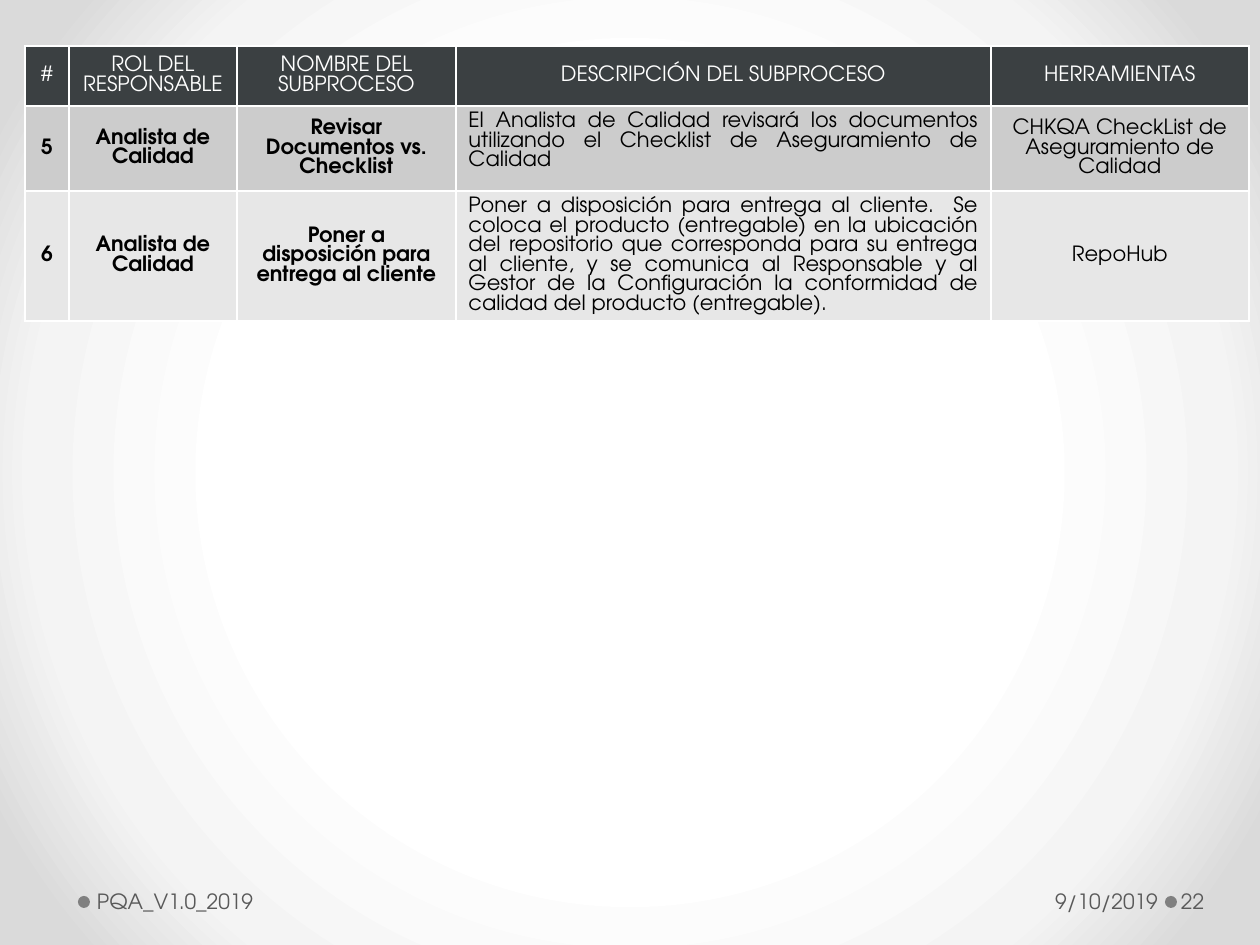
from lxml.etree import SubElement
from pptx import Presentation
from pptx.dml.color import RGBColor
from pptx.enum.shapes import MSO_SHAPE as Shape
from pptx.enum.text import MSO_ANCHOR as Anchor, PP_ALIGN as Align
from pptx.oxml import parse_xml
from pptx.oxml.ns import nsdecls, qn
from pptx.util import Emu, Pt

PX = 914400 / 126
THEME = {
    "font": "TeX Gyre Adventor",
    "size": 12,
    "white": "FFFFFF",
    "black": "000000",
    "header": "3B4042",
    "bands": ("CCCCCC", "E7E7E7"),
    "footer": "595959",
    "dot": "808080",
    "backdrop": ((50, "FFFFFF"), (76, "F4F4F4"), (92, "DADADA")),
    "border": 1,
}
COLUMNS = (44, 168, 219, 535, 258)
ROWS = (60, 85, 130)
HEADINGS = ("#", "ROL DEL RESPONSABLE", "NOMBRE DEL SUBPROCESO",
            "DESCRIPCIÓN DEL SUBPROCESO", "HERRAMIENTAS")
SUBPROCESSES = (
    ("5", "Analista de Calidad", "Revisar Documentos vs. Checklist",
     "El Analista de Calidad revisará los documentos utilizando el Checklist "
     "de Aseguramiento de Calidad",
     "CHKQA CheckList de Aseguramiento de Calidad"),
    ("6", "Analista de Calidad", "Poner a disposición para entrega al cliente",
     "Poner a disposición para entrega al cliente.  Se coloca el producto "
     "(entregable) en la ubicación del repositorio que corresponda para su "
     "entrega al cliente, y se comunica al Responsable y al Gestor de la "
     "Configuración la conformidad de calidad del producto (entregable).",
     "RepoHub"),
)
BOLD_COLUMNS = (0, 1, 2)
DESCRIPTION = 3


def px(length):
    return Emu(round(length * PX))


def color(name):
    return RGBColor.from_string(name)


def set_all(target, values):
    for name, value in values.items():
        setattr(target, name, value)


def write(frame, text, ink, align, bold=False):
    para = frame.paragraphs[0]
    para.alignment = align
    span = para.add_run()
    span.text = text
    set_all(span.font, {"name": THEME["font"], "size": Pt(THEME["size"]),
                        "bold": bold})
    span.font.color.rgb = color(ink)


def paint_backdrop(page):
    fill = page.background.fill
    fill.solid()
    stops = "".join(
        f'<a:gs pos="{at * 1000}"><a:srgbClr val="{shade}"/></a:gs>'
        for at, shade in THEME["backdrop"])
    gradient = parse_xml(
        f'<a:gradFill {nsdecls("a")} rotWithShape="1"><a:gsLst>{stops}</a:gsLst>'
        '<a:path path="circle"><a:fillToRect l="50000" t="50000" r="50000" '
        'b="50000"/></a:path></a:gradFill>')
    solid = next(page.element.iter(qn("a:solidFill")))
    solid.getparent().replace(solid, gradient)


def outline(cell):
    """Draw the four cell borders, which must precede the fill in the XML."""
    props = cell._tc.get_or_add_tcPr()
    for index, side in enumerate(("lnL", "lnR", "lnT", "lnB")):
        line = SubElement(props, qn(f"a:{side}"), w=str(Pt(THEME["border"])))
        solid = SubElement(line, qn("a:solidFill"))
        SubElement(solid, qn("a:srgbClr"), val=THEME["white"])
        props.insert(index, line)


def add_subprocess_table(page, left, top):
    records = (HEADINGS, *SUBPROCESSES)
    shape = page.shapes.add_table(len(ROWS), len(COLUMNS), px(left), px(top),
                                  px(sum(COLUMNS)), px(sum(ROWS)))
    table = shape.table
    set_all(table, {"first_row": False, "horz_banding": False})
    for column, width in zip(table.columns, COLUMNS):
        column.width = px(width)
    for row, height in zip(table.rows, ROWS):
        row.height = px(height)
    for r, record in enumerate(records):
        is_header = r == 0
        shade = THEME["header"] if is_header else THEME["bands"][r - 1]
        ink = THEME["white"] if is_header else THEME["black"]
        for c, text in enumerate(record):
            cell = table.cell(r, c)
            cell.fill.solid()
            cell.fill.fore_color.rgb = color(shade)
            outline(cell)
            justified = c == DESCRIPTION and not is_header
            at_top = justified and r == 1
            cell.vertical_anchor = Anchor.TOP if at_top else Anchor.MIDDLE
            write(cell.text_frame, text, ink,
                  Align.JUSTIFY if justified else Align.CENTER,
                  bold=c in BOLD_COLUMNS and not is_header)


def add_footer(page, left, top, height):
    dot = 12
    for x in (0, 1087):
        bullet = page.shapes.add_shape(Shape.OVAL, px(left + x), px(top + 20),
                                       px(dot), px(dot))
        bullet.shadow.inherit = False
        bullet.fill.solid()
        bullet.fill.fore_color.rgb = color(THEME["dot"])
        bullet.line.fill.background()
    labels = (
        ("PQA_V1.0_2019", 13, 499, 6, 13, Align.LEFT),
        ("9/10/2019", 799, 287, 13, 6, Align.RIGHT),
        ("22", 1099, 77, 4, 6, Align.LEFT),
    )
    for text, x, width, inset_left, inset_right, align in labels:
        box = page.shapes.add_textbox(px(left + x), px(top), px(width), px(height))
        set_all(box.text_frame, {
            "word_wrap": True, "vertical_anchor": Anchor.MIDDLE,
            "margin_left": px(inset_left), "margin_right": px(inset_right)})
        write(box.text_frame, text, THEME["footer"], align)


def main():
    deck = Presentation()
    set_all(deck, {"slide_width": px(1260), "slide_height": px(945)})
    page = deck.slides.add_slide(deck.slide_layouts[6])
    paint_backdrop(page)
    add_subprocess_table(page, left=25, top=46)
    add_footer(page, left=78, top=876, height=50)
    deck.save("out.pptx")


if __name__ == "__main__":
    main()
